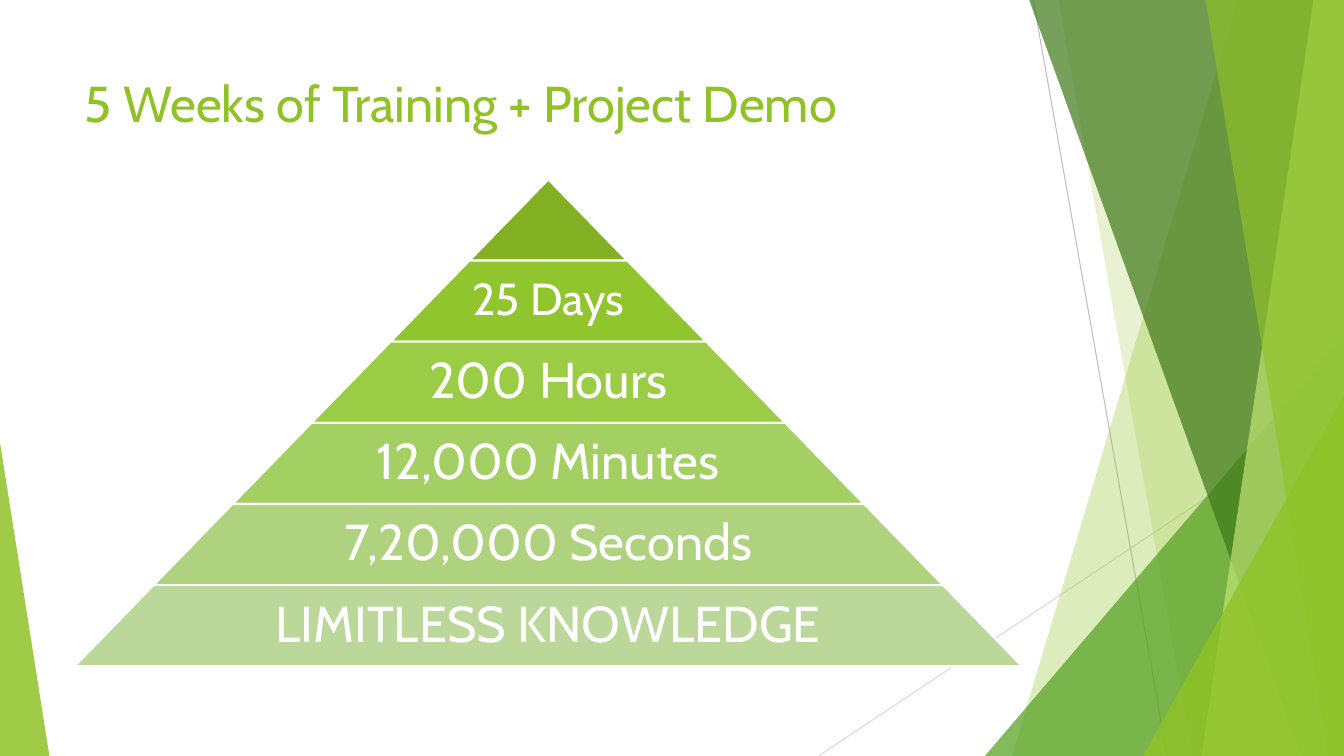
from lxml import etree
from pptx import Presentation
from pptx import util as u
from pptx.dml.color import RGBColor
from pptx.enum import shapes, text
from pptx.oxml.ns import qn

FONT = "Cabin"
COLORS = {
    "lime": "90C226", "green": "54A021", "forest": "3F7819", "pale": "C0E474",
    "white": "FFFFFF", "gray": "BFBFBF", "light_gray": "D9D9D9",
}

# Pyramid bands from the tip down: label, fill, text size, inset
BANDS = [
    ("", "83B022", None, None),
    ("25 Days", "90C52E", 32, 0.04),
    ("200 Hours", "9ACD45", 36, 0.05),
    ("12,000 Minutes", "A4CF63", 36, 0.05),
    ("7,20,000 Seconds", "AFD27F", 36, 0.05),
    ("LIMITLESS KNOWLEDGE", "BBD79A", 36, 0.05),
]

# Background lines, in percent of the slide: x1, y1, x2, y2, color
LINES = [(76.88, 0, 86.85, 100, "gray"), (100, 53.73, 60.9, 100, "light_gray")]

# Right-hand facets, back to front, in percent of the slide:
# ribbons run from a top x to a bottom x, wedges have a left x and a top y
FACETS = [
    ("ribbon", 92.1, 75.3, "lime", 30),
    ("ribbon", 78.75, 88.73, "lime", 20),
    ("wedge", 73.28, 44.4, "green", 72),
    ("ribbon", 76.58, 96.83, "forest", 70),
    ("ribbon", 97.73, 89.4, "pale", 70),
    ("ribbon", 89.7, 98.85, "lime", 65),
    ("wedge", 85.05, 52.4, "lime", 80),
]


def rgb(name):
    return RGBColor.from_string(COLORS.get(name, name))


def part(box, left, top, width, height):
    """Box at the given percentages of another box."""
    x, y, w, h = box
    return [int(v) for v in (x + w * left / 100, y + h * top / 100,
                             w * width / 100, h * height / 100)]


def paint(sp, color, alpha=100):
    sp.shadow.inherit = False
    sp.fill.solid()
    sp.fill.fore_color.rgb = rgb(color)
    if alpha < 100:
        clr = next(sp._element.spPr.iter(qn("a:srgbClr")))
        etree.SubElement(clr, qn("a:alpha")).set("val", str(alpha * 1000))
    sp.line.fill.background()


def style_text(tf, content, size, color, frame, para):
    for name, value in frame.items():
        setattr(tf, name, value)
    p = tf.paragraphs[0]
    for name, value in para.items():
        setattr(p, name, value)
    r = p.add_run()
    r.text = content
    for name, value in {"name": FONT, "size": u.Pt(size)}.items():
        setattr(r.font, name, value)
    r.font.color.rgb = rgb(color)


def add_wedge(slide, box, corner, color, alpha):
    sp = slide.shapes.add_shape(shapes.MSO_SHAPE.ISOSCELES_TRIANGLE, *box)
    sp.adjustments[0] = corner
    paint(sp, color, alpha)


def add_ribbon(slide, box, top_x, bottom_x, color, alpha):
    # Percent coordinates are drawn in hundredths of a percent
    x, y, w, h = box
    fb = slide.shapes.build_freeform(top_x * 100, 0, scale=(w / 10000, h / 10000))
    fb.add_line_segments([(10000, 0), (10000, 10000), (bottom_x * 100, 10000)])
    paint(fb.convert_to_shape(x, y), color, alpha)


def add_background(slide, box):
    for x1, y1, x2, y2, color in LINES:
        start, end = part(box, x1, y1, 0, 0)[:2], part(box, x2, y2, 0, 0)[:2]
        line = slide.shapes.add_connector(shapes.MSO_CONNECTOR.STRAIGHT, *start, *end)
        line.line.color.rgb = rgb(color)
        line.line.width = u.Pt(0.75)
        etree.SubElement(line._element.spPr, qn("a:effectLst"))
    for kind, a, b, color, alpha in FACETS:
        if kind == "ribbon":
            add_ribbon(slide, box, a, b, color, alpha)
        else:
            add_wedge(slide, part(box, a, b, 100 - a, 100 - b), 1, color, alpha)
    # Left-hand wedge
    add_wedge(slide, part(box, 0, 58.53, 3.68, 41.47), 0, "lime", 85)


def add_title(slide, box):
    title = slide.shapes.title
    title.left, title.top, title.width, title.height = box
    style_text(title.text_frame, "5 Weeks of Training + Project Demo", 36, "lime",
               {"vertical_anchor": text.MSO_ANCHOR.TOP, "word_wrap": True,
                "auto_size": text.MSO_AUTO_SIZE.NONE},
               {"alignment": text.PP_ALIGN.LEFT})


def add_pyramid(slide, box):
    step = 100 / len(BANDS)
    slope = box[2] / 2 / box[3]
    for i, (label, color, size, inset) in enumerate(BANDS):
        width = step * (i + 1)
        band = part(box, 50 - width / 2, step * i, width, step)
        sp = slide.shapes.add_shape(shapes.MSO_SHAPE.TRAPEZOID, *band)
        sp.adjustments[0] = slope
        paint(sp, color)
        sp.line.color.rgb = rgb("white")
        sp.line.width = u.Pt(1.5)
        if not label:
            continue
        # The label takes the middle 65% of its band
        tb = slide.shapes.add_textbox(*part(band, 17.5, 0, 65, 100))
        frame = {f"margin_{side}": u.Inches(inset)
                 for side in ("left", "top", "right", "bottom")}
        frame.update(word_wrap=True, vertical_anchor=text.MSO_ANCHOR.MIDDLE)
        style_text(tb.text_frame, label, size, "white", frame,
                   {"alignment": text.PP_ALIGN.CENTER, "line_spacing": 0.9})


def main():
    prs = Presentation()
    prs.slide_width, prs.slide_height = u.Inches(13.33), u.Inches(7.5)
    slide = prs.slides.add_slide(prs.slide_layouts[5])
    page = (0, 0, prs.slide_width, prs.slide_height)
    add_background(slide, page)
    add_title(slide, part(page, 5.55, 8.93, 68.33, 19.2))
    add_pyramid(slide, part(page, 5.55, 23.73, 70.5, 64.4))
    prs.save("out.pptx")


if __name__ == "__main__":
    main()
